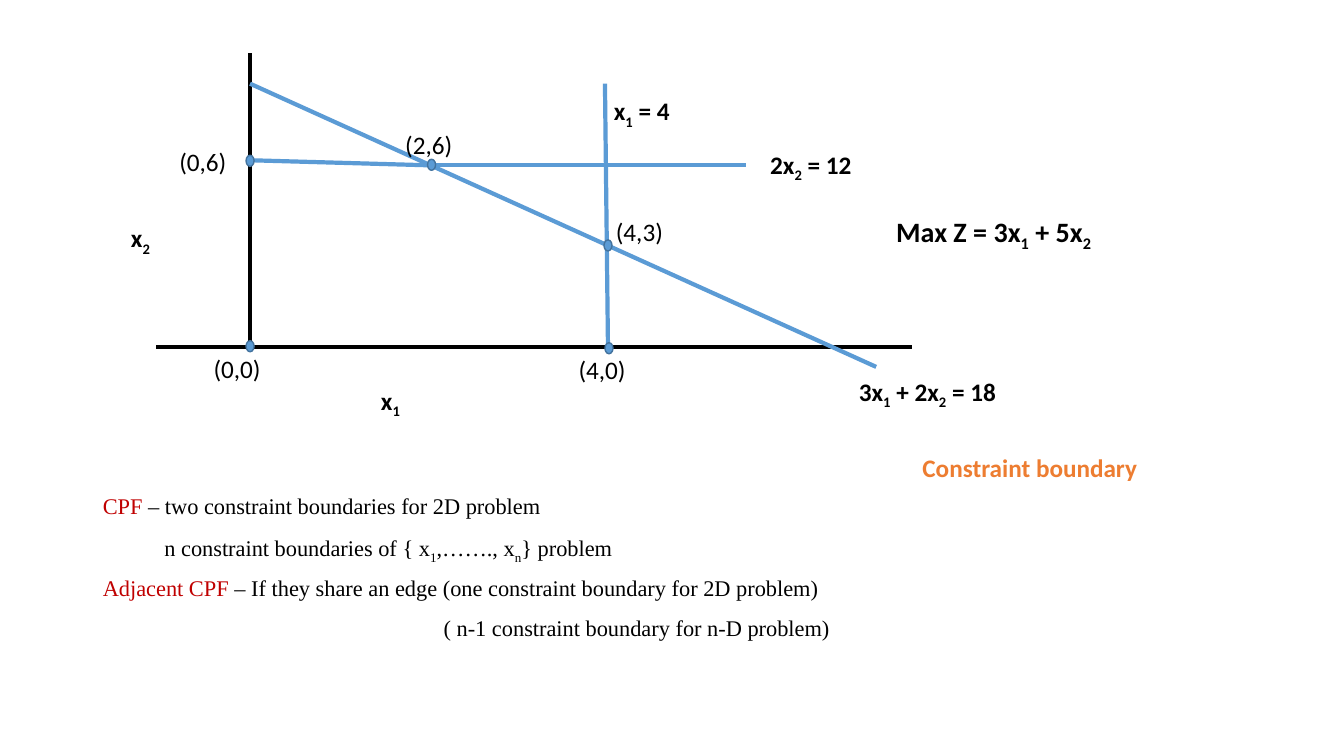
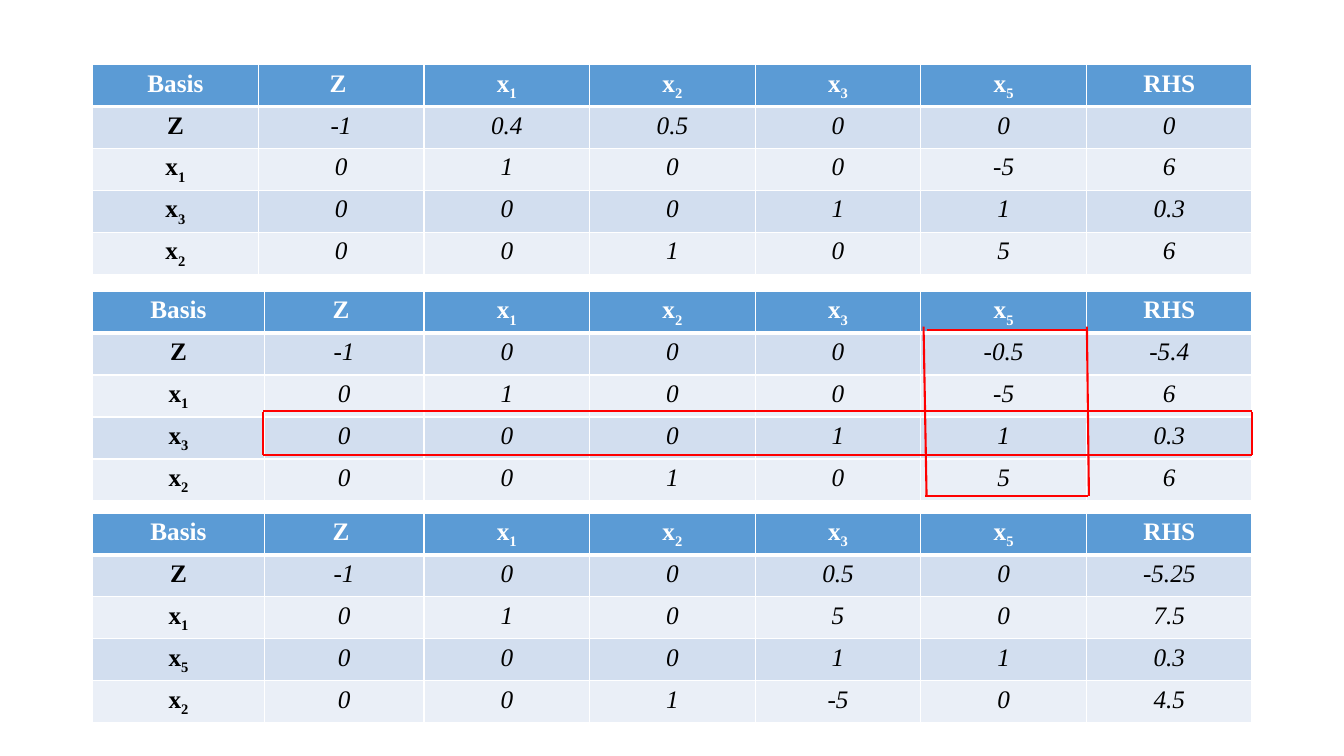
from lxml import etree
from pptx import Presentation
from pptx.dml.color import RGBColor
from pptx.enum.shapes import MSO_CONNECTOR, MSO_SHAPE
from pptx.enum.text import PP_ALIGN
from pptx.oxml.ns import qn
from pptx.util import Inches, Pt

STRAIGHT = MSO_CONNECTOR.STRAIGHT
OVAL = MSO_SHAPE.OVAL
CENTER = PP_ALIGN.CENTER

# Shared colours and text formats
BLACK, WHITE, RED = "000000", "FFFFFF", "FF0000"
BLUE, DARK_BLUE, ORANGE, DARK_RED = "5B9BD5", "43739E", "ED7D31", "C00000"
BANDS = ["D2DEEF", "EAEFF7"]
POINT_LABEL = {"name": "Calibri", "size": Pt(18), "color": BLACK}
LABEL = {**POINT_LABEL, "bold": True}
BODY = {"name": "Times New Roman", "size": Pt(16), "color": BLACK}
VALUE = {**BODY, "size": Pt(18), "bold": False, "italic": True}
ROW_HEAD = {**VALUE, "bold": True, "italic": False}
COLUMN_HEAD = {**ROW_HEAD, "color": WHITE}


def write(paragraph, text, text_format):
    """Add text; the character after each underscore becomes a subscript."""
    first, *rest = text.split("_")
    pieces = [(first, False)]
    for part in rest:
        pieces += [(part[0], True), (part[1:], False)]
    for piece, is_subscript in pieces:
        if not piece:
            continue
        run = paragraph.add_run()
        run.text = piece
        for key, value in text_format.items():
            if key == "color":
                run.font.color.rgb = RGBColor.from_string(value)
            else:
                setattr(run.font, key, value)
        if is_subscript:
            run.font._element.set("baseline", "-25000")


def draw_line(slide, ends, color, weight):
    line = slide.shapes.add_connector(STRAIGHT, *[Inches(v) for v in ends])
    line.line.color.rgb = RGBColor.from_string(color)
    line.line.width = Pt(weight)
    etree.SubElement(line._element.spPr, qn("a:effectLst"))


prs = Presentation()
prs.slide_width, prs.slide_height = Inches(13.33), Inches(7.5)

# Slide 1: feasible region and corner points
graph = prs.slides.add_slide(prs.slide_layouts[1])
title = graph.shapes.title._element
title.getparent().remove(title)

# Definitions below the graph
definitions = graph.placeholders[1]
definitions.left, definitions.top = Inches(0.92), Inches(4.86)
definitions.width, definitions.height = Inches(11.5), Inches(1.9)
definition_lines = [
    (0, "CPF", " – two constraint boundaries for 2D problem"),
    (0.61, "", "n constraint boundaries of { x_1,……., x_n} problem"),
    (0, "Adjacent CPF ", "– If they share an edge (one constraint boundary for 2D problem)"),
    (3.38, "", "( n-1 constraint boundary for n-D problem)"),
]
for i, (indent, term, meaning) in enumerate(definition_lines):
    frame = definitions.text_frame
    paragraph = frame.add_paragraph() if i else frame.paragraphs[0]
    paragraph.line_spacing = 0.9
    paragraph.space_before = Pt(11 if i else 0)
    properties = paragraph._p.get_or_add_pPr()
    properties.set("marL", str(Inches(indent)))
    properties.set("indent", "0")
    etree.SubElement(properties, qn("a:buNone"))
    write(paragraph, term, {**BODY, "color": DARK_RED})
    write(paragraph, meaning, BODY)

# Axes and constraint boundaries
graph_lines = [
    ((2.48, 0.53, 2.48, 3.44), BLACK),
    ((1.55, 3.44, 9.05, 3.44), BLACK),
    ((6, 0.83, 6.03, 3.44), BLUE),
    ((2.48, 0.83, 8.69, 3.64), BLUE),
    ((2.48, 1.59, 4.25, 1.64), BLUE),
    ((4.25, 1.64, 7.4, 1.64), BLUE),
]
for ends, color in graph_lines:
    draw_line(graph, ends, color, 3)

# Corner points
for left, top in [(4.24, 1.58), (2.44, 1.54), (5.99, 2.38), (6, 3.4), (2.44, 3.38)]:
    corner = graph.shapes.add_shape(OVAL, Inches(left), Inches(top), Inches(0.08), Inches(0.11))
    corner.shadow.inherit = False
    corner.fill.solid()
    corner.fill.fore_color.rgb = RGBColor.from_string(BLUE)
    corner.line.color.rgb = RGBColor.from_string(DARK_BLUE)
    corner.line.width = Pt(1)

# Labels: left, top, width, text, format
graph_labels = [
    (1.68, 1.4, 0.69, "(0,6)", POINT_LABEL),
    (5.64, 3.47, 0.69, "(4,0)", POINT_LABEL),
    (2.02, 3.46, 0.69, "(0,0)", POINT_LABEL),
    (3.92, 1.23, 0.69, "(2,6)", POINT_LABEL),
    (6.01, 2.1, 0.69, "(4,3)", POINT_LABEL),
    (7.54, 1.43, 1.25, "2x_2 = 12", LABEL),
    (1.2, 2.16, 0.69, "x_2", LABEL),
    (3.68, 3.77, 0.69, "x_1", LABEL),
    (5.99, 0.9, 0.85, "x_1 = 4", LABEL),
    (8.42, 3.68, 1.63, "3x_1 + 2x_2 = 18", LABEL),
    (8.79, 2.08, 2.17, "Max Z = 3x_1 + 5x_2", {**LABEL, "size": Pt(20)}),
    (9.05, 4.44, 2.41, "Constraint boundary", {**LABEL, "color": ORANGE}),
]
for left, top, width, text, text_format in graph_labels:
    label = graph.shapes.add_textbox(Inches(left), Inches(top), Inches(width), Inches(0.4))
    label.text_frame.word_wrap = True
    write(label.text_frame.paragraphs[0], text, text_format)

# Slide 2: simplex tableaus
simplex = prs.slides.add_slide(prs.slide_layouts[6])
header = ["Basis", "Z ", "x_1", "x_2", "x_3", "x_5", "RHS"]
tableaus = [
    (0.64, 1.64, [
        ["Z", "-1", "0.4", "0.5", "0", "0", "0"],
        ["x_1", "0", "1", "0", "0", "-5", "6"],
        ["x_3", "0", "0", "0", "1", "1", "0.3"],
        ["x_2", "0", "0", "1", "0", "5", "6"],
    ]),
    (2.89, 1.7, [
        ["Z", "-1", "0", "0", "0", "-0.5", "-5.4"],
        ["x_1", "0", "1", "0", "0", "-5", "6"],
        ["x_3", "0", "0", "0", "1", "1", "0.3"],
        ["x_2", "0", "0", "1", "0", "5", "6"],
    ]),
    (5.09, 1.7, [
        ["Z", "-1", "0", "0", "0.5", "0", "-5.25"],
        ["x_1", "0", "1", "0", "5", "0", "7.5"],
        ["x_5", "0", "0", "0", "1", "1", "0.3"],
        ["x_2", "0", "0", "1", "-5", "0", "4.5"],
    ]),
]
column_width = 11.5 / len(header)
for top, basis_width, rows in tableaus:
    tableau = simplex.shapes.add_table(
        len(rows) + 1, len(header), Inches(0.92), Inches(top), Inches(11.5), Inches(2.07)).table
    tableau.columns[0].width = Inches(basis_width)
    tableau.columns[1].width = Inches(2 * column_width - basis_width)
    for r, row in enumerate([header] + rows):
        for c, text in enumerate(row):
            cell = tableau.cell(r, c)
            # Borders come before the fill in the cell properties
            for side in ("lnL", "lnR", "lnT", "lnB"):
                is_heavy = (r, side) in [(0, "lnB"), (1, "lnT")]
                border = etree.SubElement(cell._tc.get_or_add_tcPr(), qn("a:" + side),
                                          w=str(Pt(3 if is_heavy else 1)))
                border_fill = etree.SubElement(border, qn("a:solidFill"))
                etree.SubElement(border_fill, qn("a:srgbClr"), val=WHITE)
            cell.fill.solid()
            cell.fill.fore_color.rgb = RGBColor.from_string(BANDS[(r - 1) % 2] if r else BLUE)
            paragraph = cell.text_frame.paragraphs[0]
            paragraph.alignment = CENTER
            write(paragraph, text, COLUMN_HEAD if r == 0 else ROW_HEAD if c == 0 else VALUE)

# Pivot column and pivot row
pivot_lines = [
    (9.19, 4.92, 9.16, 3.24),
    (9.19, 3.27, 10.78, 3.27),
    (10.79, 4.92, 9.17, 4.92),
    (10.8, 4.92, 10.78, 3.24),
    (12.42, 4.08, 2.61, 4.08),
    (12.42, 4.51, 2.61, 4.51),
    (2.61, 4.51, 2.61, 4.09),
    (12.42, 4.51, 12.42, 4.09),
]
for ends in pivot_lines:
    draw_line(simplex, ends, RED, 1.5)

prs.save("out.pptx")
